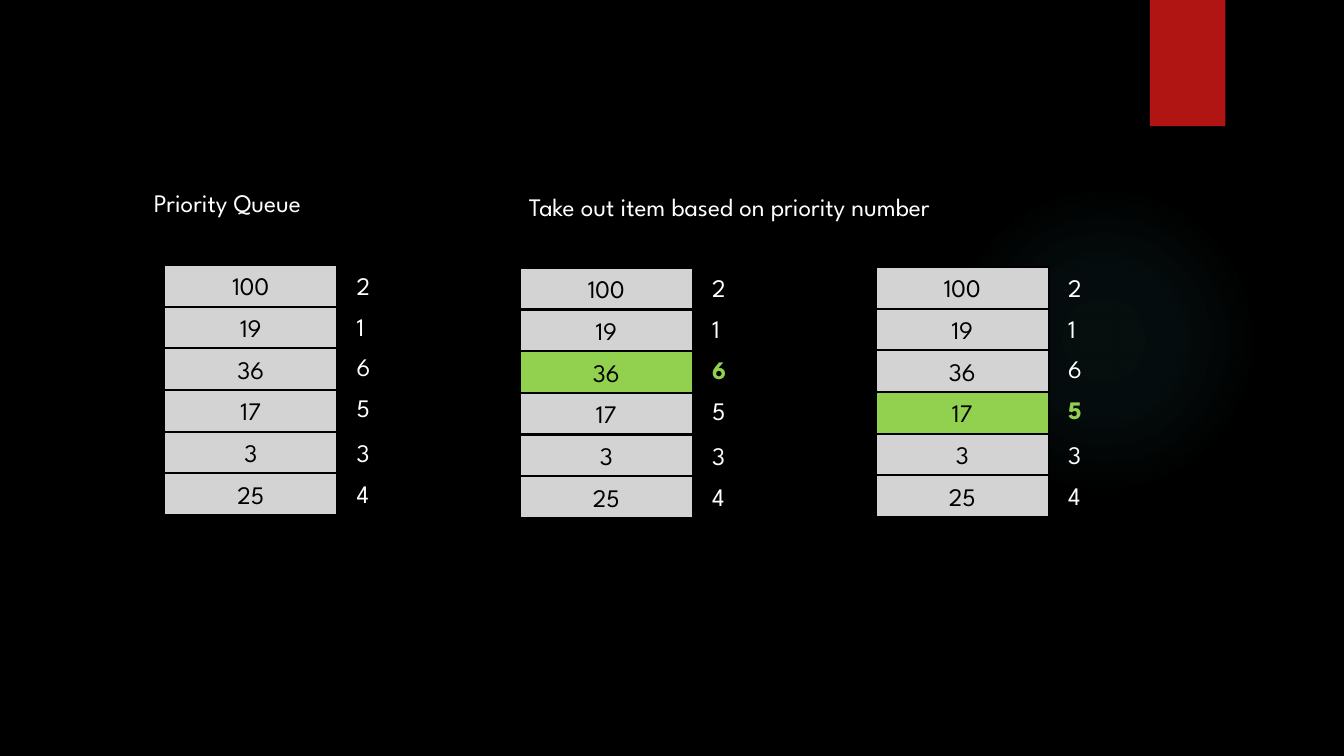
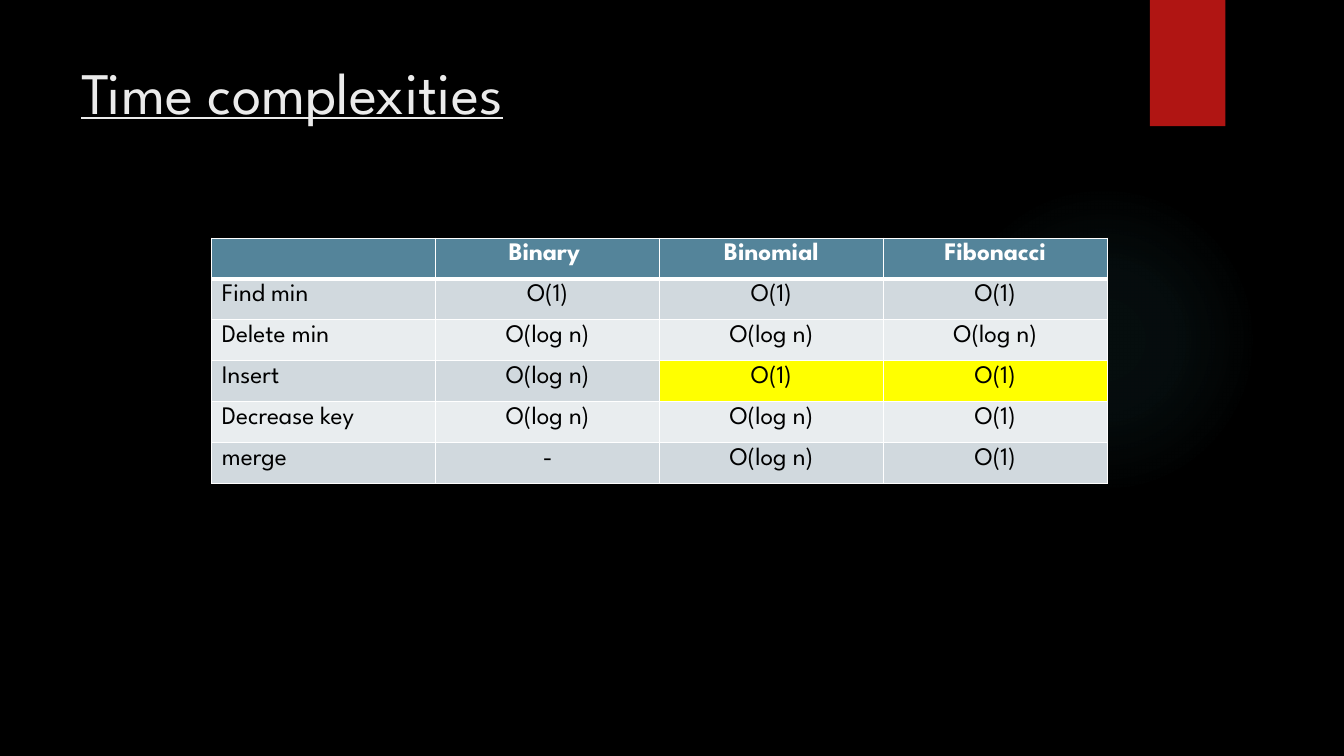
from pptx import Presentation
from pptx.dml.color import RGBColor
from pptx.enum.shapes import MSO_SHAPE as Preset
from pptx.enum.text import MSO_ANCHOR as Anchor, PP_ALIGN as Align
from pptx.oxml import parse_xml
from pptx.oxml.ns import nsdecls, qn
from pptx.util import Cm, Pt

FONT = "League Spartan"
COLORS = {
    "background": "000000",
    "ribbon": "B01513",
    "glow": "50B9C1",
    "title": "EBEBEB",
    "light": "FFFFFF",
    "dark": "000000",
    "box": "D3D3D3",
    "taken": "92D050",
    "header": "54849A",
    "odd_row": "D1D9DE",
    "even_row": "E9EDEF",
    "highlight": "FFFF00",
}

QUEUE_ITEMS = [("100", "2"), ("19", "1"), ("36", "6"),
               ("17", "5"), ("3", "3"), ("25", "4")]
# left and top in centimetres, then the value being taken out
QUEUES = [(4.14, 6.68, None), (13.1, 6.75, "36"), (22.07, 6.73, "17")]
BOX_WIDTH, BOX_HEIGHT = 4.36, 1.05
PRIORITY_OFFSET, PRIORITY_PITCH = 4.6, 1.03
LOWER_GROUP_START, LOWER_GROUP_GAP = 4, 0.1

COMPLEXITIES = [
    ["", "Binary ", "Binomial", "Fibonacci"],
    ["Find min", "O(1)", "O(1)", "O(1)"],
    ["Delete min", "O(log n)", "O(log n)", "O(log n)"],
    ["Insert", "O(log n)", "O(1)", "O(1)"],
    ["Decrease key", "O(log n)", "O(log n)", "O(1)"],
    ["merge", "-", "O(log n)", "O(1)"],
]
HIGHLIGHTED_CELLS = {(3, 2), (3, 3)}
COLUMN_WIDTH, ROW_HEIGHT = 5.64, 1.03


def color(name):
    return RGBColor.from_string(COLORS[name])


def write_text(frame, text, size=18, fill="light", bold=False,
               underline=False, align=Align.LEFT):
    paragraph = frame.paragraphs[0]
    paragraph.alignment = align
    run = paragraph.add_run()
    run.text = text
    font = run.font
    font.name, font.size = FONT, Pt(size)
    font.bold, font.underline = bold, underline
    font.color.rgb = color(fill)


def add_label(slide, text, left, top, width, height=1.02, **text_format):
    label = slide.shapes.add_textbox(Cm(left), Cm(top), Cm(width), Cm(height))
    label.text_frame.word_wrap = True
    write_text(label.text_frame, text, **text_format)


def add_block(slide, preset, left, top, width, height, fill=None, line=None):
    shape = slide.shapes.add_shape(
        preset, Cm(left), Cm(top), Cm(width), Cm(height))
    shape.shadow.inherit = False
    if fill:
        shape.fill.solid()
        shape.fill.fore_color.rgb = color(fill)
    else:
        shape.fill.background()
    if line:
        shape.line.color.rgb = color(line)
        shape.line.width = Pt(1.5)
    else:
        shape.line.fill.background()
    return shape


def add_glow(slide):
    """Add a circle whose faint colour fades out towards its edge."""
    glow = add_block(slide, Preset.OVAL, 23.9, 4.65, 7.82, 7.82)
    stops = "".join(
        f'<a:gs pos="{position * 1000}"><a:srgbClr val="{COLORS["glow"]}">'
        f'<a:alpha val="{alpha * 1000}"/></a:srgbClr></a:gs>'
        for position, alpha in [(0, 7), (36, 6), (69, 0), (100, 0)])
    gradient = parse_xml(
        f'<a:gradFill {nsdecls("a")} rotWithShape="1"><a:gsLst>{stops}</a:gsLst>'
        '<a:path path="circle"><a:fillToRect l="50000" t="50000" r="50000" '
        'b="50000"/></a:path></a:gradFill>')
    properties = glow._element.spPr
    properties.replace(properties.find(qn("a:noFill")), gradient)


def add_base_slide(presentation):
    slide = presentation.slides.add_slide(presentation.slide_layouts[6])
    add_glow(slide)
    add_block(slide, Preset.RECTANGLE, 28.98, 0, 1.9, 3.18, fill="ribbon")
    return slide


def add_queue(slide, left, top, taken_value):
    """Stack the values in boxes, with each priority to the right."""
    for index, (value, priority) in enumerate(QUEUE_ITEMS):
        taken = value == taken_value
        box = add_block(slide, Preset.RECTANGLE, left, top + index * BOX_HEIGHT,
                        BOX_WIDTH, BOX_HEIGHT,
                        fill="taken" if taken else "box", line="dark")
        box.text_frame.vertical_anchor = Anchor.MIDDLE
        write_text(box.text_frame, value, fill="dark", align=Align.CENTER)
        gap = LOWER_GROUP_GAP if index >= LOWER_GROUP_START else 0
        add_label(slide, priority, left + PRIORITY_OFFSET,
                  top + index * PRIORITY_PITCH + gap, 1,
                  fill="taken" if taken else "light", bold=taken)


def set_borders(cell, top=1, bottom=1):
    properties = cell._tc.get_or_add_tcPr()
    for side, width in [("L", 1), ("R", 1), ("T", top), ("B", bottom)]:
        properties.append(parse_xml(
            f'<a:ln{side} {nsdecls("a")} w="{Pt(width)}"><a:solidFill>'
            f'<a:srgbClr val="{COLORS["light"]}"/></a:solidFill></a:ln{side}>'))


def cell_fill(row, column):
    if row == 0:
        return "header"
    if (row, column) in HIGHLIGHTED_CELLS:
        return "highlight"
    return "odd_row" if row % 2 else "even_row"


def add_complexity_table(slide, left, top):
    rows, columns = len(COMPLEXITIES), len(COMPLEXITIES[0])
    table = slide.shapes.add_table(
        rows, columns, Cm(left), Cm(top),
        Cm(columns * COLUMN_WIDTH), Cm(rows * ROW_HEIGHT)).table
    table.horz_banding = False
    for row, texts in enumerate(COMPLEXITIES):
        header = row == 0
        for column, text in enumerate(texts):
            cell = table.cell(row, column)
            set_borders(cell, top=3 if row == 1 else 1,
                        bottom=3 if header else 1)
            cell.fill.solid()
            cell.fill.fore_color.rgb = color(cell_fill(row, column))
            if text:
                write_text(cell.text_frame, text, bold=header,
                           fill="light" if header else "dark",
                           align=Align.CENTER if column else Align.LEFT)


def build_queue_slide(presentation):
    slide = add_base_slide(presentation)
    for left, top, taken_value in QUEUES:
        add_queue(slide, left, top, taken_value)
    add_label(slide, "Priority Queue", 3.63, 4.6, 4.88)
    add_label(slide, "Take out item based on priority number", 13.08, 4.7, 12.7)


def build_complexity_slide(presentation):
    slide = add_base_slide(presentation)
    add_label(slide, "Time complexities", 1.8, 1.27, 26.14, 3.89,
              size=42, fill="title", underline=True)
    add_complexity_table(slide, 5.34, 6)


def main():
    presentation = Presentation()
    presentation.slide_width, presentation.slide_height = Cm(33.87), Cm(19.05)
    background = presentation.slide_master.background.fill
    background.solid()
    background.fore_color.rgb = color("background")
    build_queue_slide(presentation)
    build_complexity_slide(presentation)
    presentation.save("out.pptx")


if __name__ == "__main__":
    main()
